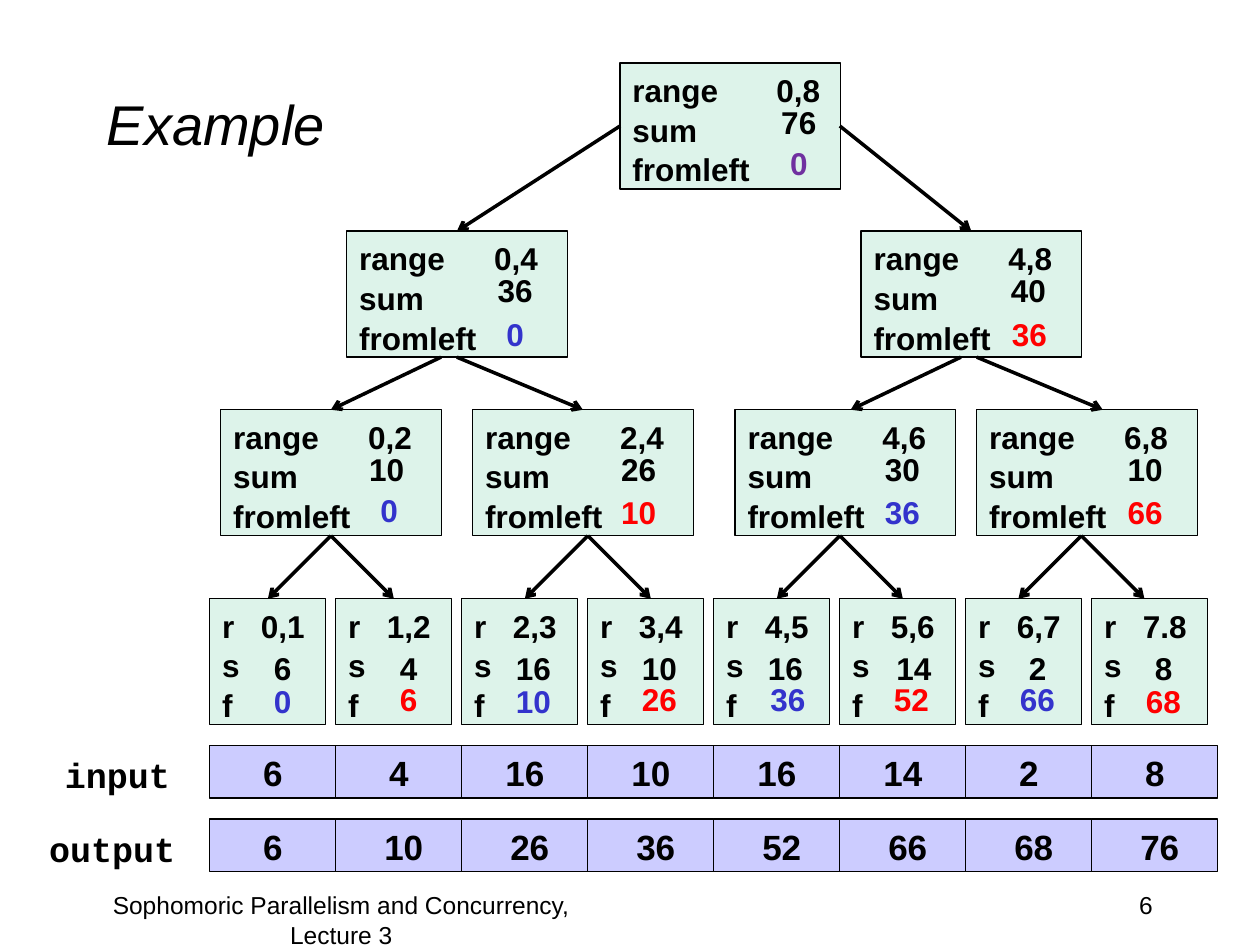
from dataclasses import dataclass

from lxml import etree
from pptx import Presentation
from pptx.dml.color import RGBColor
from pptx.enum import shapes, text
from pptx.oxml import ns
from pptx.util import Cm, Pt

BLACK = RGBColor(0x00, 0x00, 0x00)
RED = RGBColor(0xFF, 0x00, 0x00)
BLUE = RGBColor(0x33, 0x33, 0xCC)
PURPLE = RGBColor(0x70, 0x30, 0xA0)
MINT = RGBColor(0xDD, 0xF3, 0xEA)
LILAC = RGBColor(0xCC, 0xCC, 0xFF)

LEFT, CENTER, RIGHT = (text.PP_ALIGN.LEFT, text.PP_ALIGN.CENTER,
                       text.PP_ALIGN.RIGHT)
TOP, MIDDLE = text.MSO_ANCHOR.TOP, text.MSO_ANCHOR.MIDDLE

GRID_X, STEP = 4.23, 2.54
NODE_W, LEAF_W, NODE_H, CELL_H = 4.45, 2.33, 2.54, 1.06
LEVEL_Y = (1.27, 4.66, 8.26, 12.07)
INPUT_Y, OUTPUT_Y = 15.03, 16.51


@dataclass
class Node:
    span: str
    total: str
    total_dx: float
    before: str
    before_dx: float
    before_dy: float
    color: RGBColor


INNER = [
    (12.5, 0, 2.9, Node("0,8", "76", 3.0, "0", 3.18, 1.47, PURPLE)),
    (6.99, 1, 2.72, Node("0,4", "36", 2.79, "0", 2.97, 1.52, BLUE)),
    (17.36, 1, 2.72, Node("4,8", "40", 2.77, "36", 2.79, 1.52, RED)),
    (4.45, 2, 2.72, Node("0,2", "10", 2.74, "0", 2.97, 1.47, BLUE)),
    (9.53, 2, 2.72, Node("2,4", "26", 2.74, "10", 2.74, 1.52, RED)),
    (14.82, 2, 2.72, Node("4,6", "30", 2.77, "36", 2.77, 1.52, BLUE)),
    (19.69, 2, 2.72, Node("6,8", "10", 2.79, "66", 2.79, 1.52, RED)),
]
LEAVES = [
    Node("0,1", "6", 1.04, "0", 1.04, 1.52, BLUE),
    Node("1,2", "4", 1.04, "6", 1.04, 1.47, RED),
    Node("2,3", "16", 0.84, "10", 0.84, 1.52, BLUE),
    Node("3,4", "10", 0.84, "26", 0.84, 1.47, RED),
    Node("4,5", "16", 0.84, "36", 0.89, 1.47, BLUE),
    Node("5,6", "14", 0.89, "52", 0.84, 1.47, RED),
    Node("6,7", "2", 1.02, "66", 0.84, 1.47, BLUE),
    Node("7.8", "8", 1.02, "68", 0.84, 1.52, RED),
]
OUTPUT = ["6", "10", "26", "36", "52", "66", "68", "76"]
UPPER_ARROWS = [
    (12.5, 2.54, 9.21, LEVEL_Y[1]), (16.93, 2.54, 19.58, LEVEL_Y[1]),
    (8.89, 7.2, 6.67, LEVEL_Y[2]), (9.21, 7.2, 11.75, LEVEL_Y[2]),
    (19.37, 7.2, 17.15, LEVEL_Y[2]), (19.69, 7.2, 22.23, LEVEL_Y[2]),
]
LEAF_PARENTS = (6.67, 11.85, 16.93, 21.8)


def write(sp, content, size=18, font="Arial", color=BLACK, bold=True,
          italic=False, align=LEFT, anchor=TOP, wrap=True, tab=None):
    tf = sp.text_frame
    tf.word_wrap = wrap
    tf.vertical_anchor = anchor
    for i, line in enumerate(content.split("\n")):
        p = tf.add_paragraph() if i else tf.paragraphs[0]
        p.alignment = align
        p.line_spacing = 1.05
        if tab:
            tabs = etree.SubElement(p._p.get_or_add_pPr(), ns.qn("a:tabLst"))
            etree.SubElement(tabs, ns.qn("a:tab"), pos=str(Cm(tab)), algn="l")
        r = p.add_run()
        r.text = line
        r.font.name, r.font.size = font, Pt(size)
        r.font.bold, r.font.italic = bold, italic
        r.font.color.rgb = color
    return tf


def add_label(s, x, y, w, h, content, grow=False, **fmt):
    tb = s.shapes.add_textbox(Cm(x), Cm(y), Cm(w), Cm(h))
    tf = write(tb, content, wrap=not grow, **fmt)
    if grow:
        tf.auto_size = text.MSO_AUTO_SIZE.SHAPE_TO_FIT_TEXT


def add_box(s, x, y, w, h, fill, content, **fmt):
    sp = s.shapes.add_shape(shapes.MSO_SHAPE.RECTANGLE,
                            Cm(x), Cm(y), Cm(w), Cm(h))
    sp.shadow.inherit = False
    sp.fill.solid()
    sp.fill.fore_color.rgb = fill
    sp.line.color.rgb = BLACK
    sp.line.width = Pt(0.75)
    return write(sp, content, **fmt)


def add_arrow(s, x1, y1, x2, y2):
    cn = s.shapes.add_connector(shapes.MSO_CONNECTOR.STRAIGHT,
                                Cm(x1), Cm(y1), Cm(x2), Cm(y2))
    cn.line.color.rgb = BLACK
    cn.line.width = Pt(2)
    etree.SubElement(cn.line._get_or_add_ln(), ns.qn("a:tailEnd"),
                     type="arrow")
    etree.SubElement(cn._element.spPr, ns.qn("a:effectLst"))


def add_value(s, x, y, value, color=BLACK):
    add_label(s, x, y, 0.86 if len(value) == 1 else 1.22, 1.02, value,
              grow=True, color=color)


def add_values(s, x, y, node, total_dy):
    add_value(s, x + node.total_dx, y + total_dy, node.total)
    add_value(s, x + node.before_dx, y + node.before_dy, node.before,
              node.color)


def add_row(s, y, values, shift=0):
    for i, value in enumerate(values):
        tf = add_box(s, GRID_X + i * STEP, y, STEP, CELL_H, LILAC, value,
                     size=20, align=CENTER, anchor=MIDDLE, wrap=False)
        if i:
            tf.margin_left = Cm(0.25 + shift)


def add_tree(s):
    leaf_y = LEVEL_Y[3]
    leaf_spots = [(GRID_X + i * STEP, n) for i, n in enumerate(LEAVES)]
    for x, level, tab, node in INNER:
        add_box(s, x, LEVEL_Y[level], NODE_W, NODE_H, MINT,
                f"range\t{node.span}\nsum\nfromleft", tab=tab)
    for x, node in leaf_spots:
        add_box(s, x, leaf_y, LEAF_W, NODE_H, MINT,
                f"r\t{node.span}\ns\nf", tab=0.78)
    for ends in UPPER_ARROWS:
        add_arrow(s, *ends)
    for x in LEAF_PARENTS:
        for dx in (-STEP / 2, STEP / 2):
            add_arrow(s, x, LEVEL_Y[2] + NODE_H, x + dx, leaf_y)
    for x, level, _, node in INNER:
        add_values(s, x, LEVEL_Y[level], node, 0.64)
    for x, node in leaf_spots:
        add_values(s, x, leaf_y, node, 0.85)


def add_title(s, content):
    sp = s.shapes.title
    sp.left, sp.top, sp.width, sp.height = Cm(1.9), Cm(0.85), Cm(21.6), Cm(3.18)
    tf = write(sp, content, size=32, bold=False, italic=True, anchor=MIDDLE)
    tf.auto_size = text.MSO_AUTO_SIZE.NONE


def main():
    prs = Presentation()
    prs.slide_width, prs.slide_height = Cm(25.4), Cm(19.05)
    s = prs.slides.add_slide(prs.slide_layouts[5])
    add_title(s, "Example")
    add_label(s, 18.2, 17.78, 5.29, 1.27, "6", size=14, bold=False,
              align=RIGHT)
    add_label(s, 1.27, 17.78, 11.22, 1.27,
              "Sophomoric Parallelism and Concurrency, Lecture 3",
              size=14, bold=False, align=CENTER)
    add_label(s, 1.06, INPUT_Y, 2.64, 1.11, "input", grow=True, size=20,
              font="Courier New")
    add_label(s, 0.74, OUTPUT_Y, 3.07, 1.11, "output", grow=True, size=20,
              font="Courier New")
    add_row(s, INPUT_Y, [n.total for n in LEAVES])
    add_row(s, OUTPUT_Y, OUTPUT, shift=0.2)
    add_tree(s)
    prs.save("out.pptx")


main()
